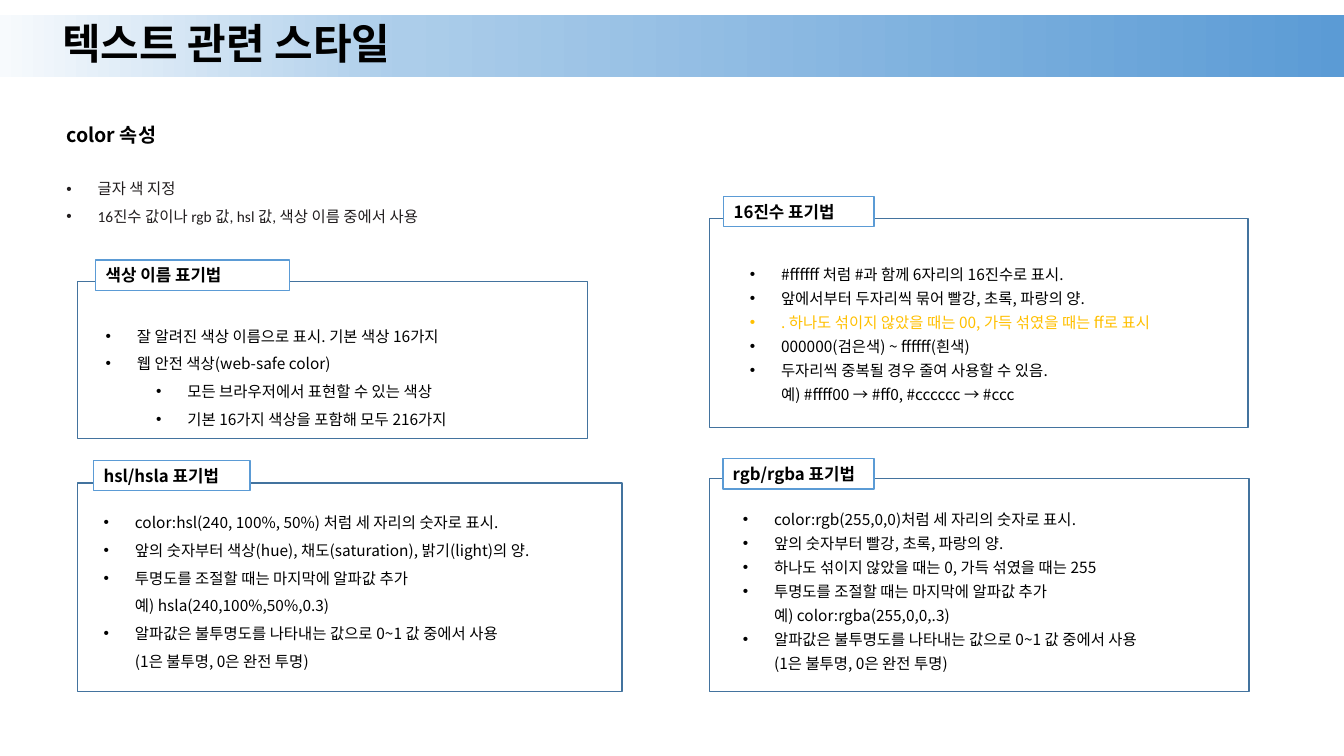
from collections import namedtuple
from copy import deepcopy

from lxml.etree import SubElement
from pptx import Presentation
from pptx.dml.color import RGBColor
from pptx.enum.shapes import MSO_SHAPE
from pptx.enum.text import MSO_ANCHOR, PP_ALIGN
from pptx.oxml.ns import qn
from pptx.util import Inches, Pt

NOTO = "Noto Sans CJK KR"
BLACK, GOLD, NAVY, BLUE = "000000", "FFC000", "43739E", "5B9BD5"
hue = RGBColor.from_string

Row = namedtuple("Row", "text level ink", defaults=(0, BLACK))
Panel = namedtuple("Panel", "frame tab body gap label rows")

deck = Presentation()
deck.slide_width, deck.slide_height = Inches(13.33), Inches(7.5)
slide = deck.slides.add_slide(deck.slide_layouts[6])


def draw(area, fill=None, line=None):
    """Add a rectangle; area is left, top, width, height in percent of the slide."""
    sides = (deck.slide_width, deck.slide_height) * 2
    spot = [int(side * share / 100) for side, share in zip(sides, area)]
    box = slide.shapes.add_shape(MSO_SHAPE.RECTANGLE, *spot)
    box.shadow.inherit = False
    if fill:
        box.fill.solid()
        box.fill.fore_color.rgb = hue(fill)
    else:
        box.fill.background()
    if line:
        box.line.color.rgb = hue(line)
        box.line.width = Pt(1)
    else:
        box.line.fill.background()
    return box


def write(box, rows, size, font=NOTO, bold=False, gap=None, dot=False):
    """Fill a box with one paragraph per row, bulleted if dot is set."""
    frame = box.text_frame
    frame.word_wrap = True
    frame.vertical_anchor = MSO_ANCHOR.TOP if dot else MSO_ANCHOR.MIDDLE
    for spot, row in enumerate(rows):
        para = frame.add_paragraph() if spot else frame.paragraphs[0]
        para.alignment = PP_ALIGN.LEFT
        para.level = row.level
        if gap:
            para.line_spacing = gap
        if dot:
            props = para._p.get_or_add_pPr()
            props.set("marL", str(Inches(0.31 + row.level / 2)))
            props.set("indent", str(Inches(-0.31)))
            SubElement(props, qn("a:buFont"), typeface="Arial")
            SubElement(props, qn("a:buChar"), char="•")
        for turn, text in enumerate(row.text.split("\n")):
            if turn:
                para.add_line_break()
            run = para.add_run()
            run.text = text
            run.font.size = Pt(size)
            run.font.name = font
            run.font.bold = bold
            run.font.color.rgb = hue(row.ink)
            SubElement(run._r.get_or_add_rPr(), qn("a:ea"), typeface=NOTO)


# Title band
band = draw((0, 2, 100, 8.13))
band.fill.gradient()
band.fill.gradient_angle = 0
stops = band._element.find(".//" + qn("a:gsLst"))
stops.append(deepcopy(stops[-1]))
tints = [(0, "F7FAFD"), (0.3, "ACCDEA"), (1, BLUE)]
for stop, (place, tint) in zip(band.fill.gradient_stops, tints):
    stop.position = place
    stop.color.rgb = hue(tint)
write(draw((3.9, 2, 74.5, 8.27)), [Row("텍스트 관련 스타일")], 30, "Arial", True, 0.9)

# Introduction
write(draw((4.2, 15.6, 19.65, 4.53)), [Row("color 속성")], 14, bold=True)
intro = [
    Row("글자 색 지정", ink="211D1E"),
    Row("16진수 값이나 rgb 값, hsl 값, 색상 이름 중에서 사용", ink="211D1E"),
]
write(draw((4.2, 21.87, 40.5, 12.13)), intro, 11, "Calibri", gap=1.5, dot=True)

# Notation panels
TIGHT, LOOSE = Pt(17.1), Pt(19.8)
ALPHA = Row("알파값은 불투명도를 나타내는 값으로 0~1 값 중에서 사용\n(1은 불투명, 0은 완전 투명)")
panels = [
    Panel((52.8, 63.33, 40.13, 28.13), (53.78, 60.67, 11.25, 4),
          (54.53, 66.13, 37.73, 23.47), TIGHT, "rgb/rgba 표기법", [
        Row("color:rgb(255,0,0)처럼 세 자리의 숫자로 표시."),
        Row("앞의 숫자부터 빨강, 초록, 파랑의 양."),
        Row("하나도 섞이지 않았을 때는 0, 가득 섞였을 때는 255"),
        Row("투명도를 조절할 때는 마지막에 알파값 추가\n예) color:rgba(255,0,0,.3)"),
        ALPHA]),
    Panel((5.78, 63.87, 40.5, 27.6), (6.98, 60.93, 11.63, 4),
          (6.98, 66, 40.5, 23.07), LOOSE, "hsl/hsla 표기법", [
        Row("color:hsl(240, 100%, 50%) 처럼 세 자리의 숫자로 표시."),
        Row("앞의 숫자부터 색상(hue), 채도(saturation), 밝기(light)의 양."),
        Row("투명도를 조절할 때는 마지막에 알파값 추가\n예) hsla(240,100%,50%,0.3)"),
        ALPHA]),
    Panel((52.8, 28.93, 40.05, 27.6), (53.85, 26, 11.18, 4),
          (55.05, 33.73, 36.98, 20.53), TIGHT, "16진수 표기법", [
        Row("#ffffff 처럼 #과 함께 6자리의 16진수로 표시."),
        Row("앞에서부터 두자리씩 묶어 빨강, 초록, 파랑의 양."),
        Row(". 하나도 섞이지 않았을 때는 00, 가득 섞였을 때는 ff로 표시", ink=GOLD),
        Row("000000(검은색) ~ ffffff(흰색)"),
        Row("두자리씩 중복될 경우 줄여 사용할 수 있음.\n"
            "예) #ffff00 → #ff0, #cccccc → #ccc")]),
    Panel((5.78, 37.2, 37.95, 20.8), (7.13, 34.4, 14.4, 4),
          (7.13, 41.33, 35.33, 15.47), LOOSE, "색상 이름 표기법", [
        Row("잘 알려진 색상 이름으로 표시. 기본 색상 16가지"),
        Row("웹 안전 색상(web-safe color)"),
        Row("모든 브라우저에서 표현할 수 있는 색상", 1),
        Row("기본 16가지 색상을 포함해 모두 216가지", 1)]),
]
for panel in panels:
    draw(panel.frame, line=NAVY)
    tab = draw(panel.tab, "FFFFFF", BLUE)
    tab.text_frame.margin_top = tab.text_frame.margin_bottom = 0
    write(tab, [Row(panel.label)], 12, bold=True)
    write(draw(panel.body), panel.rows, 11, gap=panel.gap, dot=True)

deck.save("out.pptx")
